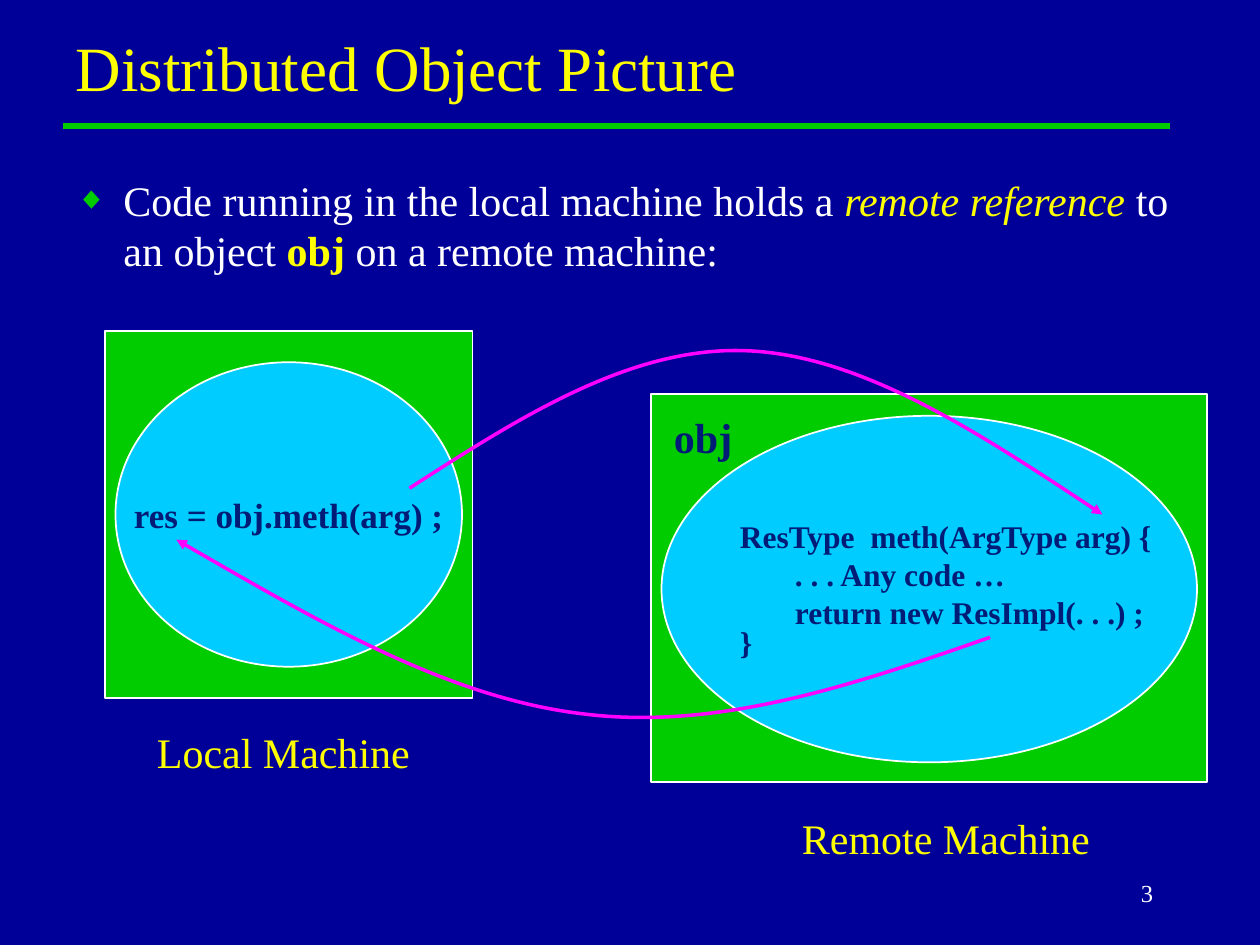
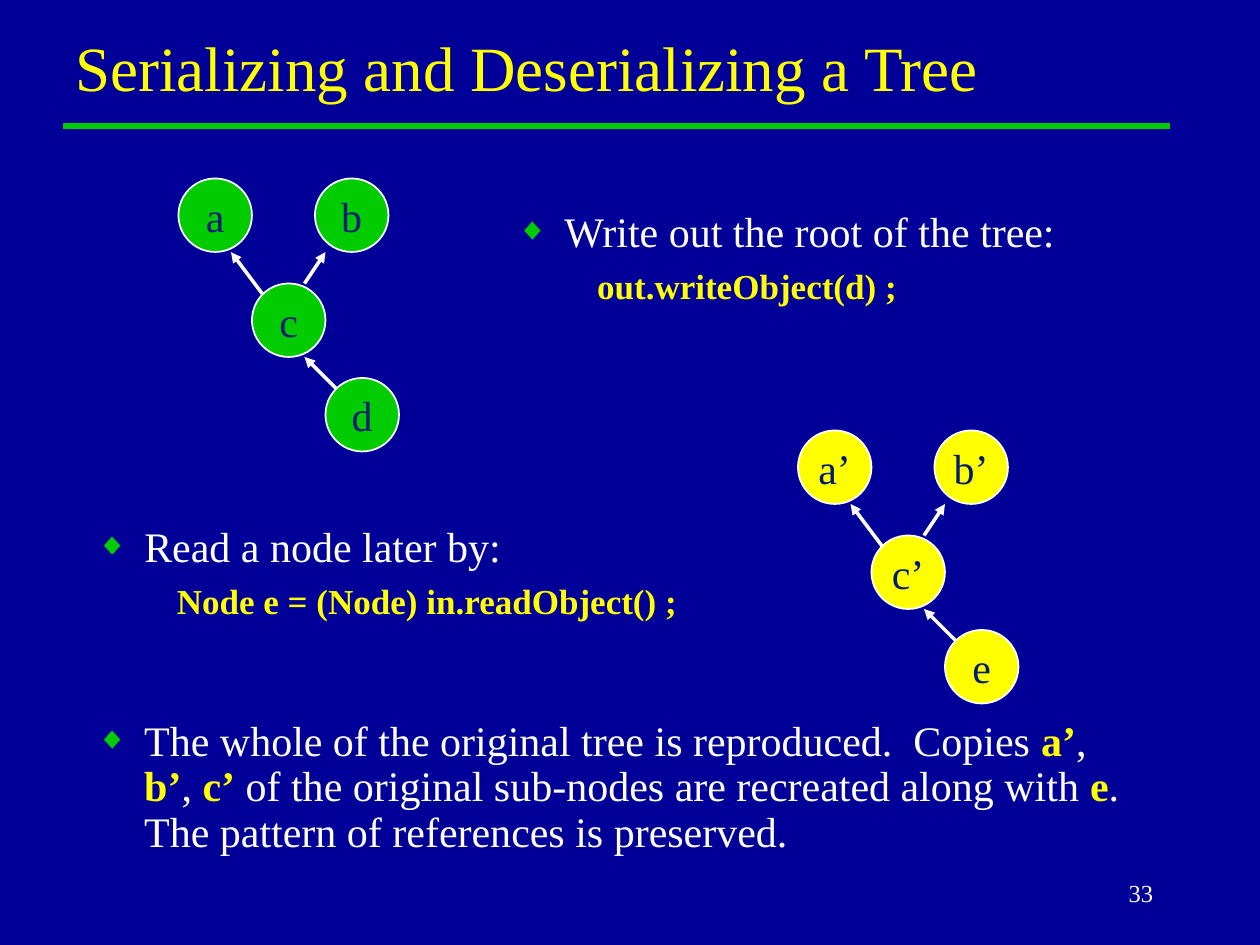
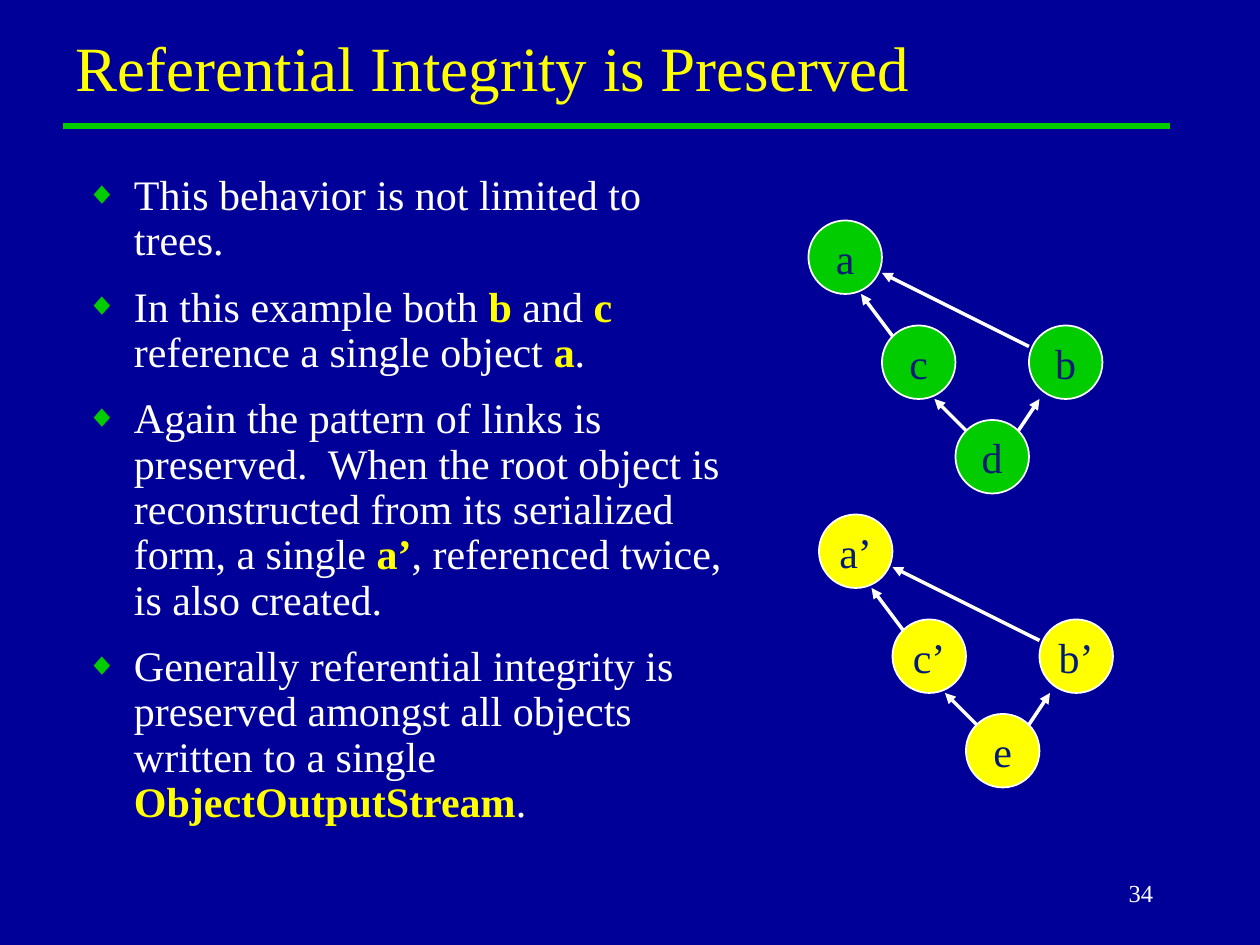
from dataclasses import dataclass

import pptx
import pptx.dml.color
import pptx.enum.shapes
import pptx.enum.text
import pptx.oxml
import pptx.oxml.ns
import pptx.util

SHAPE = pptx.enum.shapes.MSO_SHAPE
ALIGN = pptx.enum.text.PP_ALIGN
ANCHOR = pptx.enum.text.MSO_ANCHOR
COLUMNS, ROWS = 120, 90


@dataclass(frozen=True)
class Theme:
    font: str = "Times New Roman"
    background: str = "000099"
    text: str = "FFFFFF"
    accent: str = "FFFF00"
    green: str = "00CC00"
    cyan: str = "00CCFF"
    navy: str = "001C76"
    magenta: str = "FF00FF"
    title_size: int = 36
    body_size: int = 24
    code_size: int = 20
    method_size: int = 18
    number_size: int = 14


THEME = Theme()


def rgb(color):
    return pptx.dml.color.RGBColor.from_string(color)


def add_xml(parent, tag, **attributes):
    child = pptx.oxml.parse_xml(f"<a:{tag} {pptx.oxml.ns.nsdecls('a')}/>")
    for key, value in attributes.items():
        child.set(key, str(value))
    parent.append(child)
    return child


class Deck:
    """Builds slides on a grid of 120 columns by 90 rows."""

    def __init__(self, theme):
        self.theme = theme
        self.deck = pptx.Presentation()
        self.deck.slide_width = pptx.util.Inches(10)
        self.deck.slide_height = pptx.util.Inches(7.5)
        fill = self.deck.slide_master.background.fill
        fill.solid()
        fill.fore_color.rgb = rgb(theme.background)
        self.slide = None

    def cells(self, *lengths):
        """Turn alternating column and row counts into slide lengths."""
        units = self.deck.slide_width / COLUMNS, self.deck.slide_height / ROWS
        return [pptx.util.Emu(round(n * units[i % 2])) for i, n in enumerate(lengths)]

    def start(self, title, number, body_box):
        """Add a slide with title, rule and number, and return its body text."""
        t = self.theme
        self.slide = self.deck.slides.add_slide(self.deck.slide_layouts[1])
        heading, body = self.slide.placeholders
        self.place(heading, (6, 0, 102, 10.5))
        heading.text_frame.vertical_anchor = ANCHOR.BOTTOM
        self.set_lines(heading.text_frame, [title], t.title_size, t.accent)
        self.line((6, 12), (111.4, 12), t.green, 4)
        self.label(str(number), (86, 82, 25, 6), t.number_size, t.text,
                   align=ALIGN.RIGHT, anchor=ANCHOR.MIDDLE)
        self.place(body, body_box)
        return body.text_frame

    def place(self, placeholder, box):
        (placeholder.left, placeholder.top,
         placeholder.width, placeholder.height) = self.cells(*box)
        placeholder.text_frame.auto_size = pptx.enum.text.MSO_AUTO_SIZE.NONE

    def style(self, font, size, color, bold=False):
        font.name = self.theme.font
        font.size = pptx.util.Pt(size)
        font.color.rgb = rgb(color)
        font.bold = bold

    def paragraphs(self, frame, texts):
        for i, text in enumerate(texts):
            yield (frame.add_paragraph() if i else frame.paragraphs[0]), text

    def set_lines(self, frame, lines, size, color, bold=False, align=ALIGN.LEFT):
        for paragraph, line in self.paragraphs(frame, lines):
            paragraph.add_run().text = line
            paragraph.alignment = align
            self.style(paragraph.font, size, color, bold)

    def bullets(self, frame, items, gap=6, spacing=1.0):
        """Fill a list; items that start with a space are code lines.

        Text between asterisks is bold, or italic if it starts with _.
        """
        t = self.theme
        frame.word_wrap = True
        for paragraph, item in self.paragraphs(frame, items):
            code = item.startswith(" ")
            properties = paragraph._p.get_or_add_pPr()
            margin, indent = (0.81, -0.31) if code else (0.38, -0.38)
            properties.set("marL", str(pptx.util.Inches(margin)))
            properties.set("indent", str(pptx.util.Inches(indent)))
            paragraph.level = int(code)
            paragraph.line_spacing = spacing
            first = paragraph._p is frame.paragraphs[0]._p
            paragraph.space_before = pptx.util.Pt(0 if first else 5 if code else gap)
            if code:
                add_xml(properties, "buNone")
                paragraph.add_run().text = item
                self.style(paragraph.font, t.code_size, t.accent, True)
                continue
            add_xml(add_xml(properties, "buClr"), "srgbClr", val=t.green)
            add_xml(properties, "buSzPct", val=75000)
            add_xml(properties, "buFont", typeface=t.font)
            add_xml(properties, "buChar", char="◆")
            self.style(paragraph.font, t.body_size, t.text)
            for i, part in enumerate(item.split("*")):
                run = paragraph.add_run()
                run.text = part.removeprefix("_")
                if i % 2:
                    run.font.color.rgb = rgb(t.accent)
                    if part.startswith("_"):
                        run.font.italic = True
                    else:
                        run.font.bold = True

    def text_box(self, box):
        return self.slide.shapes.add_textbox(*self.cells(*box)).text_frame

    def label(self, text, box, size, color, bold=False, align=ALIGN.CENTER,
              anchor=ANCHOR.TOP):
        frame = self.text_box(box)
        frame.word_wrap = True
        frame.vertical_anchor = anchor
        self.set_lines(frame, [text], size, color, bold, align)

    def shape(self, kind, box, fill):
        shape = self.slide.shapes.add_shape(kind, *self.cells(*box))
        shape.shadow.inherit = False
        shape.fill.solid()
        shape.fill.fore_color.rgb = rgb(fill)
        shape.line.color.rgb = rgb(self.theme.text)
        shape.line.width = pptx.util.Pt(1)
        return shape

    def ellipse(self, lines, box, fill, size, bold=False, align=ALIGN.CENTER):
        frame = self.shape(SHAPE.OVAL, box, fill).text_frame
        frame.word_wrap = False
        frame.vertical_anchor = ANCHOR.MIDDLE
        self.set_lines(frame, lines, size, self.theme.navy, bold, align)
        return frame

    def stroke(self, line, color, width, arrow):
        line.color.rgb = rgb(color)
        line.width = pptx.util.Pt(width)
        if arrow:
            add_xml(line._get_or_add_ln(), "tailEnd", type="triangle")

    def line(self, start, end, color, width, arrow=False):
        connector = self.slide.shapes.add_connector(
            pptx.enum.shapes.MSO_CONNECTOR.STRAIGHT, *self.cells(*start, *end))
        self.stroke(connector.line, color, width, arrow)
        add_xml(connector.element.spPr, "effectLst")

    def curve(self, points, color):
        """Draw an arrow of cubic curves: a start, then three points for each."""
        start, *rest = [self.cells(*point) for point in points]
        builder = self.slide.shapes.build_freeform(*start)
        builder.add_line_segments(rest, close=False)
        arrow = builder.convert_to_shape()
        arrow.shadow.inherit = False
        arrow.fill.background()
        self.stroke(arrow.line, color, 2, True)
        outline = arrow.element.xpath(".//a:path")[0]
        segments = list(outline)[1:]
        for i in range(0, len(segments), 3):
            bezier = add_xml(outline, "cubicBezTo")
            for segment in segments[i:i + 3]:
                bezier.append(segment[0])
                outline.remove(segment)

    def graph(self, origin, names, spots, links, fill):
        """Draw named nodes and arrows, measured from the first node's corner."""
        left, top = origin
        for name, (x, y) in zip(names, spots):
            self.ellipse([name], (left + x, top + y, 7, 7), fill, self.theme.body_size)
        for (x1, y1), (x2, y2) in links:
            self.line((left + x1, top + y1), (left + x2, top + y2),
                      self.theme.text, 2, True)


ORIGINAL_NODES = ["a", "c", "d", "b"]
COPIED_NODES = ["a’", "c’", "e", "b’"]
CHAIN_SPOTS = [(0, 0), (7, 10), (14, 19)]
CHAIN_LINKS = [((8, 11), (5, 7)), ((15, 20), (12, 17))]


def remote_call_slide(deck):
    t = deck.theme
    body = deck.start("Distributed Object Picture", 3, (6, 16, 110, 12))
    deck.bullets(body, ["Code running in the local machine holds a *_remote reference*"
                        " to an object *obj* on a remote machine:"])
    for machine in [(10, 31.5, 35, 35), (62, 37.5, 53, 37)]:
        deck.shape(SHAPE.RECTANGLE, machine, t.green)
    deck.label("Local Machine", (12, 68.6, 30, 6), t.body_size, t.accent)
    deck.label("Remote Machine", (73.2, 76.8, 33.8, 6), t.body_size, t.accent)
    deck.ellipse(["res = obj.meth(arg) ;"], (11, 34.5, 33, 29), t.cyan,
                 t.code_size, True)
    method = deck.ellipse(
        ["ResType  meth(ArgType arg) {",
         "       . . . Any code …",
         "       return new ResImpl(. . .) ;",
         "}"],
        (63, 39.6, 51, 33), t.cyan, t.method_size, True, ALIGN.LEFT)
    method.margin_left = method.margin_right = 0
    method.paragraphs[-1].line_spacing = 0.8
    deck.label("obj", (63, 38.6, 8, 6), t.body_size, t.navy, True, ALIGN.LEFT)
    call = [(39, 46.5), (49.4, 39.8), (60, 33), (71, 33.4),
            (82, 33.8), (93.5, 41.4), (105, 49)]
    reply = [(94.3, 60.7), (81.4, 65.2), (68.5, 69.6), (55.6, 68),
             (42.7, 66.5), (29.8, 58.9), (16.8, 51.4)]
    for points in (call, reply):
        deck.curve(points, t.magenta)


def tree_slide(deck):
    t = deck.theme
    body = deck.start("Serializing and Deserializing a Tree", 33, (48, 19, 65, 14))
    deck.bullets(body, ["Write out the root of the tree:", "  out.writeObject(d) ;"])
    spots = CHAIN_SPOTS + [(13, 0)]
    links = CHAIN_LINKS + [((12, 10), (14, 7))]
    deck.graph((17, 17), ORIGINAL_NODES, spots, links, t.green)
    deck.graph((76, 41), COPIED_NODES, spots, links, t.accent)
    deck.bullets(deck.text_box((8, 49, 64, 13)),
                 ["Read a node later by:", "  Node e = (Node) in.readObject() ;"])
    deck.bullets(deck.text_box((8, 68, 102, 17)),
                 ["The whole of the original tree is reproduced.  Copies *a’*, *b’*, *c’*"
                  " of the original sub-nodes are recreated along with *e*."
                  "  The pattern of references is preserved."], spacing=0.9)


def integrity_slide(deck):
    t = deck.theme
    body = deck.start("Referential Integrity is Preserved", 34, (7, 16, 64, 67))
    deck.bullets(body, [
        "This behavior is not limited to trees.",
        "In this example both* b* and *c *reference a single object *a*.",
        "Again the pattern of links is preserved.  When the root object is "
        "reconstructed from its serialized form, a single *a’*, referenced twice, "
        "is also created.",
        "Generally referential integrity is preserved amongst all objects written "
        "to a single *ObjectOutputStream*.",
    ], gap=12, spacing=0.9)
    spots = CHAIN_SPOTS + [(21, 10)]
    links = CHAIN_LINKS + [((20, 20), (22, 17)), ((21, 12), (7, 5))]
    deck.graph((77, 21), ORIGINAL_NODES, spots, links, t.green)
    deck.graph((78, 49), COPIED_NODES, spots, links, t.accent)


def main():
    deck = Deck(THEME)
    remote_call_slide(deck)
    tree_slide(deck)
    integrity_slide(deck)
    deck.deck.save("out.pptx")


if __name__ == "__main__":
    main()
